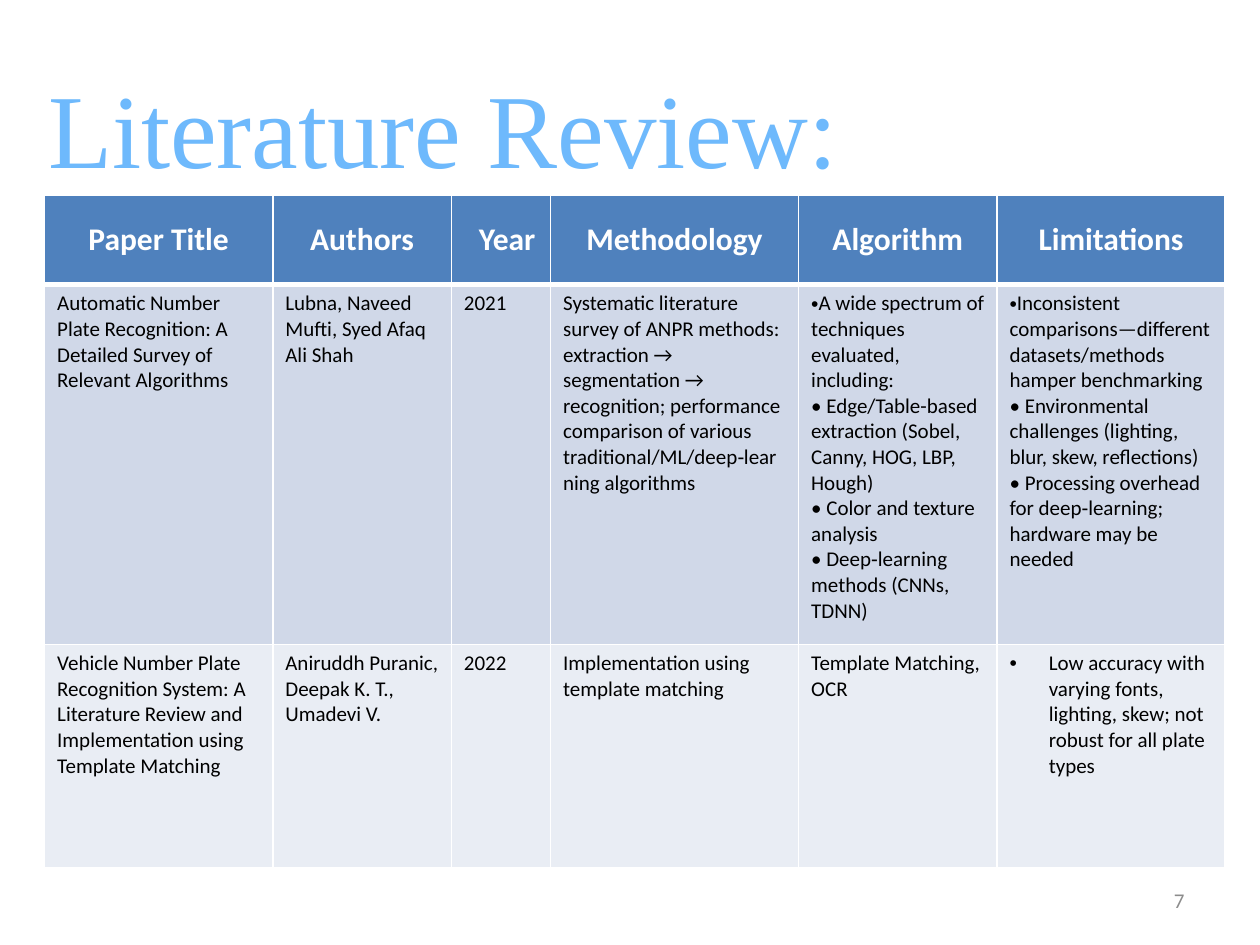
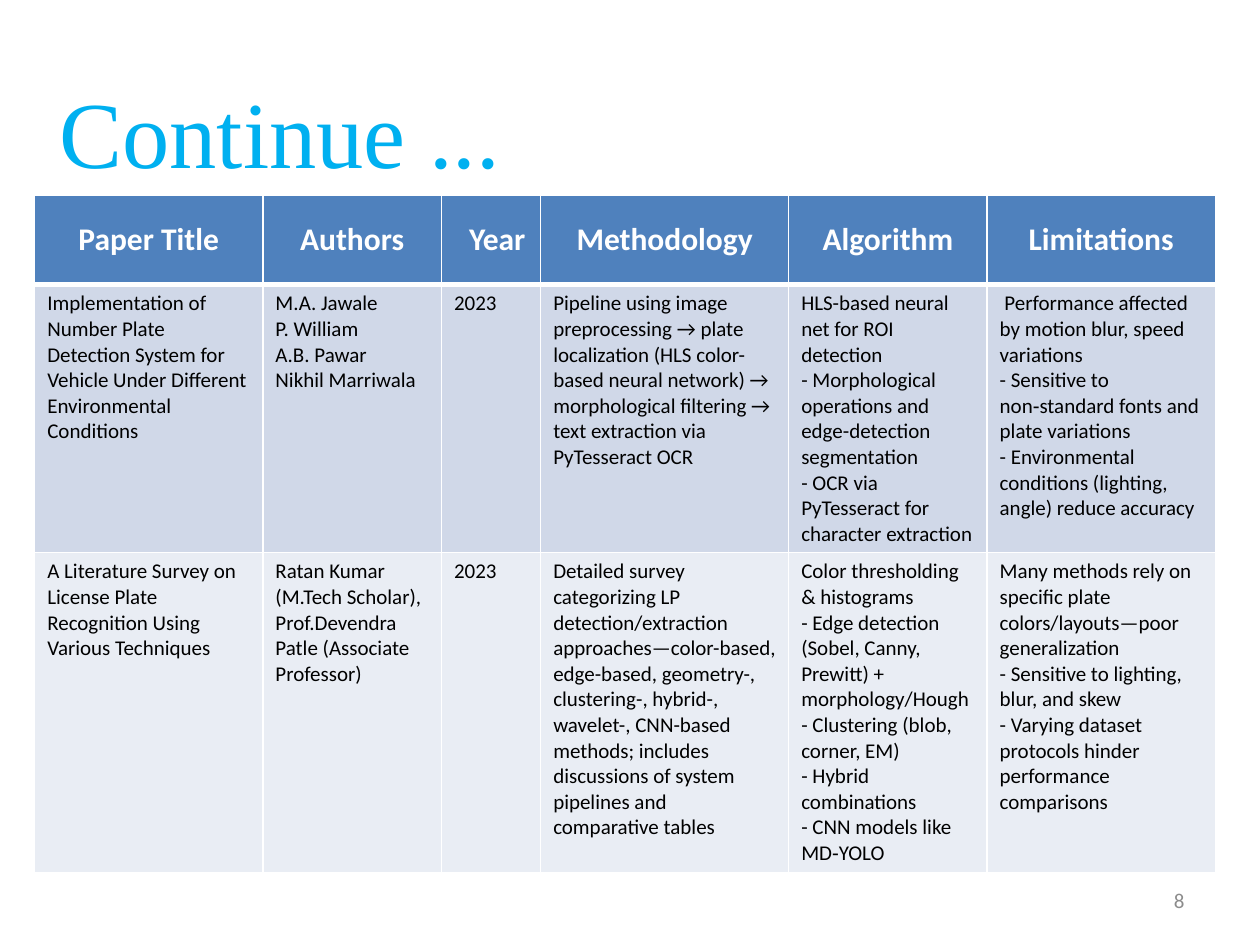
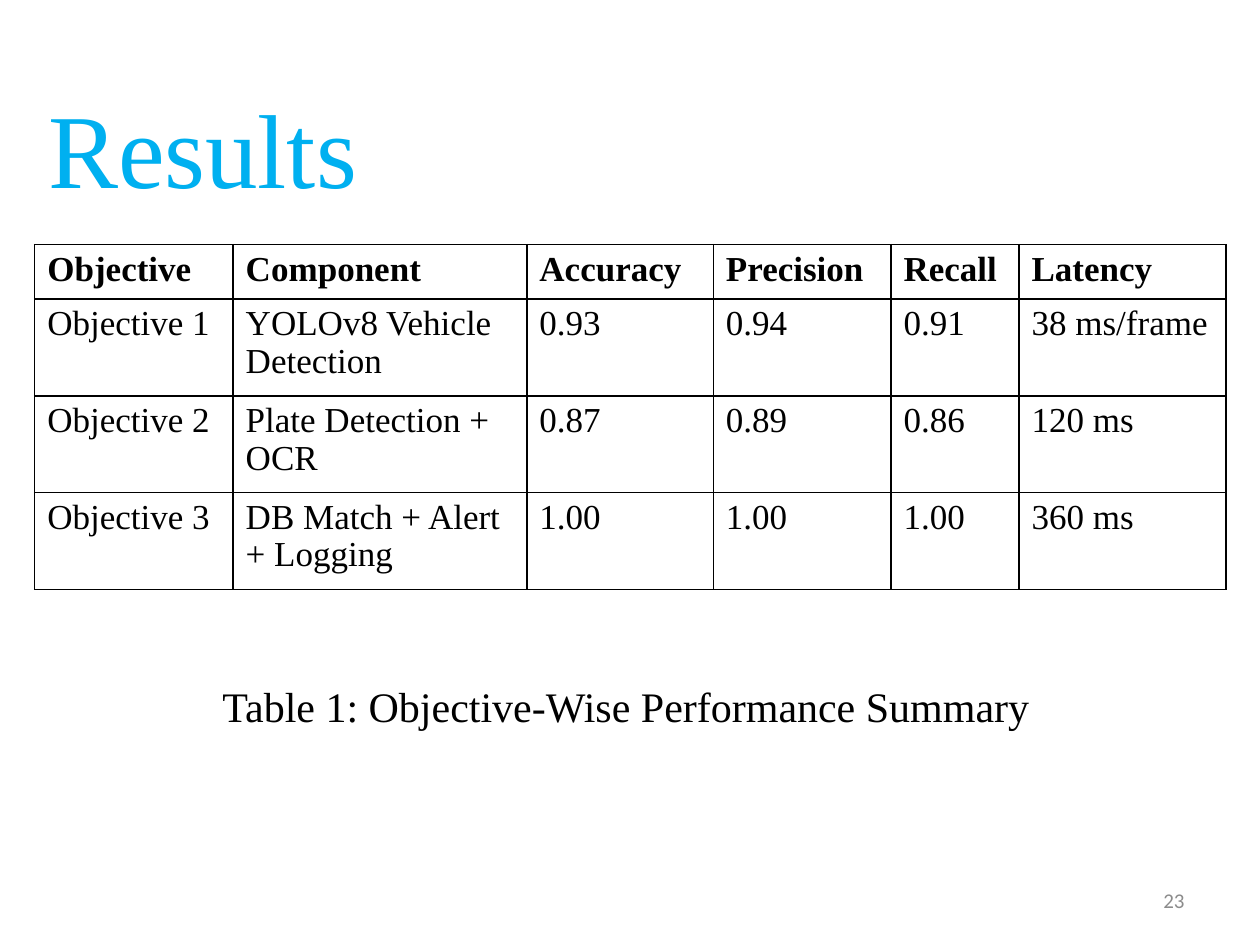
"""Build three slides on number plate recognition: papers reviewed and results."""
from lxml.etree import SubElement
from pptx import Presentation
from pptx.dml.color import RGBColor
from pptx.enum.text import MSO_ANCHOR, PP_ALIGN
from pptx.oxml.ns import qn
from pptx.util import Cm, Pt

HUES = {
    "sky": "6EB9FC", "blue": "00B0F0", "head": "4F81BD", "odd": "D0D8E8",
    "even": "E9EDF4", "white": "FFFFFF", "black": "000000", "grey": "8C8C8C",
}
SANS, SERIF = "Calibri", "Times New Roman"
HEADS = ["Paper Title", "Authors", "Year", "Methodology", "Algorithm", "Limitations"]
WIDTHS = [4.6, 3.6, 2, 5, 4, 4.6]

FIRST = [
    ["Automatic Number Plate Recognition: A Detailed Survey of Relevant Algorithms",
     "Lubna, Naveed Mufti, Syed Afaq Ali Shah",
     "2021",
     "Systematic literature survey of ANPR methods: extraction → segmentation → "
     "recognition; performance comparison of various traditional/ML/deep‑learning algorithms",
     "A wide spectrum of techniques evaluated, including:\v"
     "• Edge/Table-based extraction (Sobel, Canny, HOG, LBP, Hough)\v"
     "• Color and texture analysis\v"
     "• Deep‑learning methods (CNNs, TDNN)",
     "Inconsistent comparisons—different datasets/methods hamper benchmarking\v"
     "• Environmental challenges (lighting, blur, skew, reflections)\v"
     "• Processing overhead for deep‑learning; hardware may be needed"],
    ["Vehicle Number Plate Recognition System: A Literature Review and "
     "Implementation using Template Matching",
     "Aniruddh Puranic, Deepak K. T., Umadevi V.",
     "2022",
     "Implementation using template matching",
     "Template Matching, OCR",
     "Low accuracy with varying fonts, lighting, skew; not robust for all plate types"],
]
NEXT = [
    ["Implementation of Number Plate Detection System for Vehicle Under "
     "Different Environmental Conditions",
     "M.A. Jawale\nP. William\nA.B. Pawar\nNikhil Marriwala",
     "2023",
     "Pipeline using image preprocessing → plate localization (HLS color-based neural "
     "network) → morphological filtering → text extraction via PyTesseract OCR",
     "HLS-based neural net for ROI detection\v"
     "- Morphological operations and edge-detection segmentation\v"
     "- OCR via PyTesseract for character extraction",
     " Performance affected by motion blur, speed variations\v"
     "- Sensitive to non‑standard fonts and plate variations\v"
     "- Environmental conditions (lighting, angle) reduce accuracy"],
    ["A Literature Survey on License Plate Recognition Using Various Techniques",
     "Ratan Kumar (M.Tech Scholar), Prof.Devendra Patle (Associate Professor)",
     "2023",
     "Detailed survey categorizing LP detection/extraction approaches—color-based, "
     "edge-based, geometry-, clustering-, hybrid-, wavelet-, CNN-based methods; "
     "includes discussions of system pipelines and comparative tables",
     "Color thresholding & histograms\v"
     "- Edge detection (Sobel, Canny, Prewitt) + morphology/Hough\v"
     "- Clustering (blob, corner, EM)\v"
     "- Hybrid combinations\v"
     "- CNN models like MD‑YOLO",
     "Many methods rely on specific plate colors/layouts—poor generalization\v"
     "- Sensitive to lighting, blur, and skew\v"
     "- Varying dataset protocols hinder performance comparisons"],
]
SCORES = [
    ["Objective", "Component", "Accuracy", "Precision", "Recall", "Latency"],
    ["Objective 1", "YOLOv8 Vehicle Detection", "0.93", "0.94", "0.91", "38 ms/frame"],
    ["Objective 2", "Plate Detection + OCR", "0.87", "0.89", "0.86", "120 ms"],
    ["Objective 3", "DB Match + Alert + Logging", "1.00", "1.00", "1.00", "360 ms"],
]


class Deck:
    def __init__(self):
        self.show = Presentation()
        self.show.slide_width, self.show.slide_height = Cm(25.4), Cm(19.05)

    def page(self, number):
        self.slide = self.show.slides.add_slide(self.show.slide_layouts[6])
        self.text(number, (18.21, 17.65, 5.92, 1.01), 12, "grey", SANS,
                  PP_ALIGN.RIGHT, MSO_ANCHOR.MIDDLE)

    def style(self, para, size, hue, face, bold=False, align=PP_ALIGN.LEFT):
        para.alignment = align
        font = para.font
        font.size, font.name, font.bold = Pt(size), face, bold
        font.color.rgb = RGBColor.from_string(HUES[hue])

    def text(self, words, place, size, hue, face=SERIF, align=PP_ALIGN.LEFT,
             anchor=MSO_ANCHOR.TOP):
        frame = self.slide.shapes.add_textbox(*map(Cm, place)).text_frame
        frame.word_wrap, frame.vertical_anchor = True, anchor
        frame.text = words
        self.style(frame.paragraphs[0], size, hue, face, align=align)

    def title(self, words, left, top, size, hue):
        self.text(words, (left, top, 24, 2.7), size, hue)

    def indent(self, para, left, first=0, bullet=False):
        props = para._p.get_or_add_pPr()
        props.set("marL", str(Cm(left)))
        props.set("indent", str(Cm(first)))
        if bullet:
            SubElement(props, qn("a:buFont"), typeface="Arial")
            SubElement(props, qn("a:buChar"), char="•")

    def edge(self, cell, hue, base):
        props = cell._tc.get_or_add_tcPr()
        for side, width in zip("LRTB", (1, 1, 1, base)):
            line = SubElement(props, qn(f"a:ln{side}"), w=str(Pt(width)))
            fill = SubElement(line, qn("a:solidFill"))
            SubElement(fill, qn("a:srgbClr"), val=HUES[hue])

    def paint(self, cell, hue):
        cell.fill.solid()
        cell.fill.fore_color.rgb = RGBColor.from_string(HUES[hue])

    def table(self, rows, left, top, widths, heights):
        place = map(Cm, (left, top, sum(widths), sum(heights)))
        grid = self.slide.shapes.add_table(len(rows), len(widths), *place).table
        grid.first_row = grid.horz_banding = False
        for col, width in zip(grid.columns, widths):
            col.width = Cm(width)
        for row, height in zip(grid.rows, heights):
            row.height = Cm(height)
        for row, line in zip(grid.rows, rows):
            for cell, words in zip(row.cells, line):
                cell.text_frame.text = words
        return grid

    def review(self, papers, left, heights, bullets=()):
        grid = self.table([HEADS] + papers, left, 3.94, WIDTHS, heights)
        for spot, (inset, first) in dict(bullets).items():
            self.indent(grid.cell(*spot).text_frame.paragraphs[0], inset, first, True)
        self.indent(grid.cell(0, 2).text_frame.paragraphs[0], 0.25)
        for rank, row in enumerate(grid.rows):
            for cell in row.cells:
                self.edge(cell, "white", 1 if rank else 3)
                self.paint(cell, ("head", "odd", "even")[rank])
                if not rank:
                    cell.vertical_anchor = MSO_ANCHOR.MIDDLE
                for para in cell.text_frame.paragraphs:
                    if rank:
                        self.style(para, 12, "black", SANS)
                    else:
                        self.style(para, 18, "white", SANS, True, PP_ALIGN.CENTER)

    def scores(self, rows, left, top, widths, heights):
        grid = self.table(rows, left, top, widths, heights)
        for rank, row in enumerate(grid.rows):
            for cell in row.cells:
                self.edge(cell, "black", 1)
                cell.fill.background()
                para = cell.text_frame.paragraphs[0]
                self.style(para, 20, "black", SERIF, rank == 0)
                para.line_spacing = 0.97


def main():
    deck = Deck()
    deck.page("7")
    deck.title("Literature Review:", 0.72, 1.15, 60, "sky")
    deck.review(FIRST, 0.9, [1.8, 7.25, 4.5],
                {(1, 4): (0, 0), (1, 5): (0, 0), (2, 5): (0.79, -0.79)})

    deck.page("8")
    deck.title("Continue ...", 0.95, 1.36, 54, "blue")
    deck.review(NEXT, 0.7, [1.8, 5.4, 6.45])

    deck.page("23")
    deck.title("Results", 0.72, 1.55, 60, "blue")
    deck.text("Table 1: Objective-Wise Performance Summary", (0.72, 13.6, 23.8, 1.27),
              24, "black", align=PP_ALIGN.CENTER)
    deck.scores(SCORES, 0.7, 4.93, [4, 5.92, 3.76, 3.58, 2.58, 4.17],
                [1.1] + [1.95] * 3)
    deck.show.save("out.pptx")


if __name__ == "__main__":
    main()
